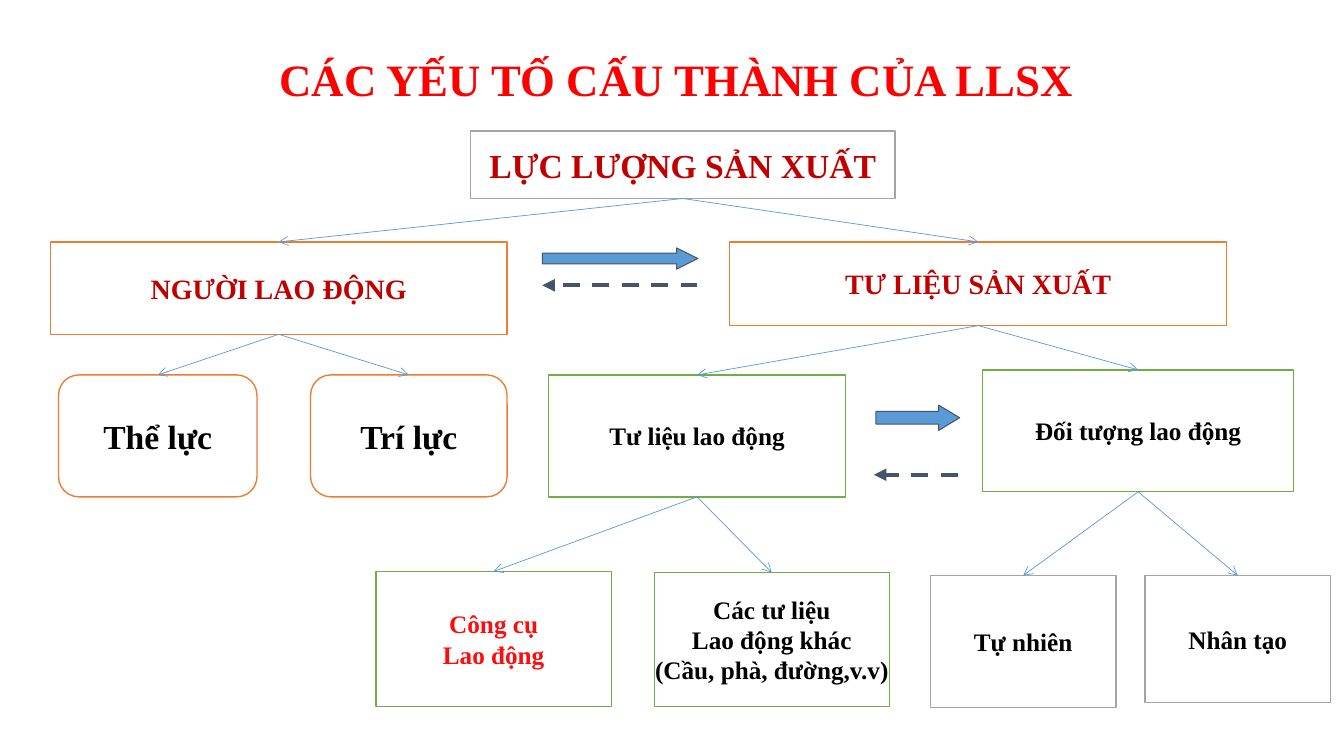
from lxml.etree import SubElement
from pptx import Presentation
from pptx.dml.color import RGBColor
from pptx.enum.dml import MSO_LINE
from pptx.enum.shapes import MSO_CONNECTOR, MSO_SHAPE
from pptx.enum.text import MSO_ANCHOR, PP_ALIGN
from pptx.oxml.ns import qn
from pptx.util import Pt

COLORS = {
    "title": "FF0000", "heading": "C00000", "tools": "FE0C0C", "black": "000000",
    "white": "FFFFFF", "gray": "A5A5A5", "orange": "ED7D31", "green": "70AD47",
    "blue": "5B9BD5", "slate": "44546A",
}
RECT, ROUND = MSO_SHAPE.RECTANGLE, MSO_SHAPE.ROUNDED_RECTANGLE
BOTTOM, TOP = 2, 0


def write(shape, text, size, color):
    frame = shape.text_frame
    frame.text = text
    frame.vertical_anchor = MSO_ANCHOR.MIDDLE
    for paragraph in frame.paragraphs:
        paragraph.alignment = PP_ALIGN.CENTER
        for run in paragraph.runs:
            run.font.name = "Times New Roman"
            run.font.size = Pt(size)
            run.font.bold = True
            run.font.color.rgb = RGBColor.from_string(COLORS[color])


def add_arrow(start, end, color, width, head, dash=None):
    arrow = slide.shapes.add_connector(
        MSO_CONNECTOR.STRAIGHT, *(Pt(value) for value in start + end))
    arrow.line.color.rgb = RGBColor.from_string(COLORS[color])
    arrow.line.width = Pt(width)
    if dash:
        arrow.line.dash_style = dash
    properties = arrow._element.spPr
    SubElement(properties.find(qn("a:ln")), qn("a:tailEnd"), type=head)
    SubElement(properties, qn("a:effectLst"))
    return arrow


presentation = Presentation()
presentation.slide_width, presentation.slide_height = Pt(960), Pt(540)
slide = presentation.slides.add_slide(presentation.slide_layouts[6])

title = slide.shapes.add_textbox(Pt(178), Pt(36), Pt(610.5), Pt(44.6))
title.text_frame.word_wrap = True
write(title, "CÁC YẾU TỐ CẤU THÀNH CỦA LLSX", 32, "title")
title.text_frame.paragraphs[0].line_spacing = 0.9

nodes = [
    ("forces", None, "LỰC LƯỢNG SẢN XUẤT", RECT, (336.2, 93.6, 303.1, 48.2), "gray", 24, "heading"),
    ("workers", "forces", "NGƯỜI LAO ĐỘNG", RECT, (36, 172.8, 326.2, 66), "orange", 20, "heading"),
    ("means", "forces", "TƯ LIỆU SẢN XUẤT", RECT, (521.3, 172.8, 355, 59.8), "orange", 20, "heading"),
    ("strength", "workers", "Thể lực", ROUND, (41.8, 267.8, 141.8, 87.1), "orange", 24, "black"),
    ("intellect", "workers", "Trí lực", ROUND, (221.8, 267.8, 140.4, 87.1), "orange", 24, "black"),
    ("instruments", "means", "Tư liệu lao động", RECT, (391.7, 267.8, 212.4, 87.1), "green", 18, "black"),
    ("objects", "means", "Đối tượng lao động", RECT, (702, 264.2, 222, 87.1), "green", 18, "black"),
    ("tools", "instruments", "Công cụ\nLao động", RECT, (268.6, 408.2, 168, 96.5), "green", 18, "tools"),
    ("others", "instruments", "Các tư liệu\nLao động khác\n(Cầu, phà, đường,v.v)", RECT,
     (467.3, 409, 168, 95.8), "green", 18, "black"),
    ("natural", "objects", "Tự nhiên", RECT, (664.6, 411.1, 132.5, 94.3), "gray", 18, "black"),
    ("artificial", "objects", "Nhân tạo", RECT, (817.9, 411.1, 132.5, 90.7), "gray", 18, "black"),
]
boxes = {}
for name, parent, text, kind, bounds, border, size, color in nodes:
    box = slide.shapes.add_shape(kind, *(Pt(value) for value in bounds))
    box.shadow.inherit = False
    box.fill.solid()
    box.fill.fore_color.rgb = RGBColor.from_string(COLORS["white"])
    box.line.color.rgb = RGBColor.from_string(COLORS[border])
    box.line.width = Pt(1)
    box.text_frame.word_wrap = kind == ROUND
    write(box, text, size, color)
    boxes[name] = box
    if parent:
        branch = add_arrow((0, 0), (0, 0), "blue", 0.5, "arrow")
        branch.begin_connect(boxes[parent], BOTTOM)
        branch.end_connect(box, TOP)

for bounds, head_ratio in [((387.4, 177.1, 111, 15.1), 1), ((625.7, 289.4, 59.8, 18), 0.83)]:
    block_arrow = slide.shapes.add_shape(
        MSO_SHAPE.RIGHT_ARROW, *(Pt(value) for value in bounds))
    block_arrow.adjustments[1] = head_ratio
    block_arrow.shadow.inherit = False
    block_arrow.fill.solid()
    block_arrow.fill.fore_color.rgb = RGBColor.from_string(COLORS["blue"])
    block_arrow.line.color.rgb = RGBColor.from_string(COLORS["slate"])
    block_arrow.line.width = Pt(0.75)

for right, left, y in [(498.2, 387.4, 203.8), (684, 624.2, 339.1)]:
    add_arrow((right, y), (left, y), "slate", 3, "triangle", MSO_LINE.DASH)

presentation.save("out.pptx")
